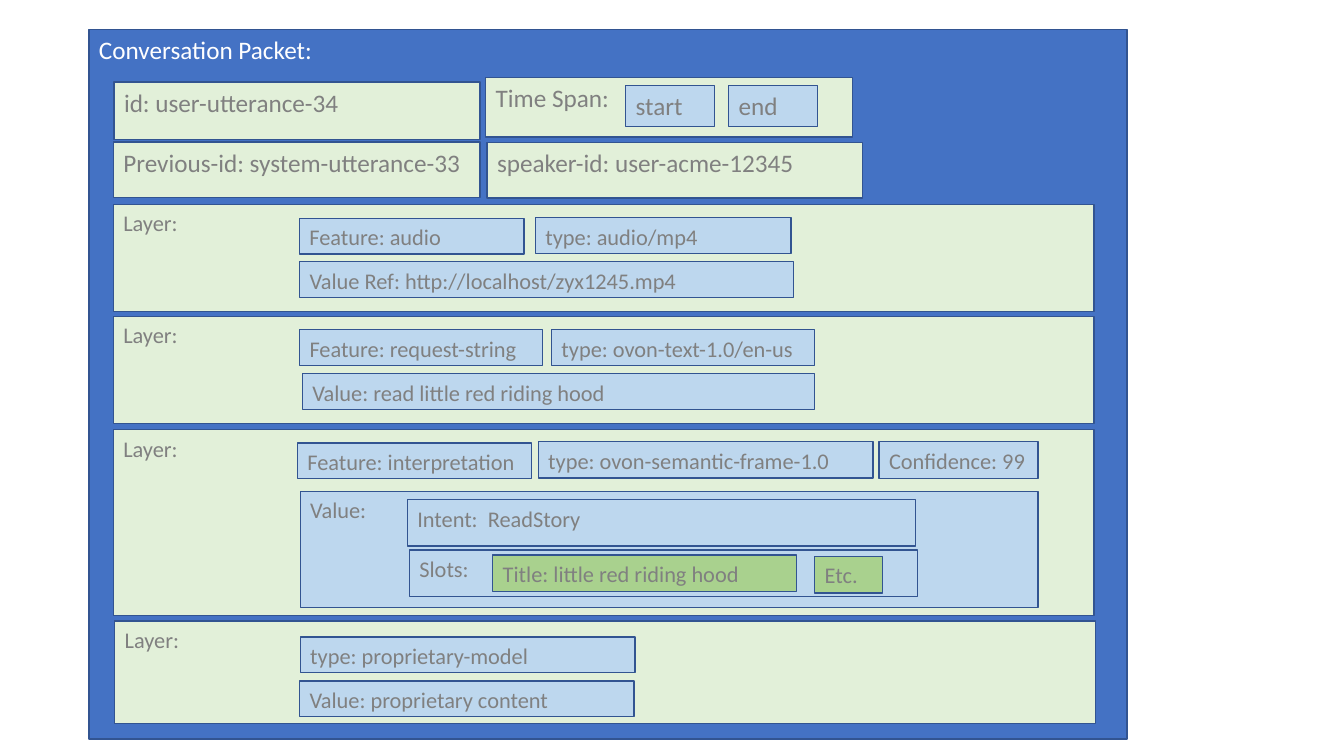
from pptx import Presentation
from pptx.dml.color import RGBColor
from pptx.enum.shapes import MSO_SHAPE
from pptx.enum.text import MSO_ANCHOR, MSO_AUTO_SIZE, PP_ALIGN
from pptx.util import Pt

RECT = MSO_SHAPE.RECTANGLE
TOP = MSO_ANCHOR.TOP
FIXED = MSO_AUTO_SIZE.NONE
LEFT = PP_ALIGN.LEFT

BLUE, NAVY, WHITE, GREY = "4472C4", "325491", "FFFFFF", "808080"
PALE, SKY, GREEN = "E2F0D9", "BDD7EE", "A9D18E"
ROW = 25.5

FRAME = {
    "word_wrap": True, "auto_size": FIXED, "vertical_anchor": TOP,
    "margin_left": Pt(7.2), "margin_right": Pt(7.2),
    "margin_top": Pt(3.6), "margin_bottom": Pt(3.6),
}

HEADS = [
    ("id: user-utterance-34", 81.5, 58.5, 261.5, 41, PALE),
    ("Previous-id: system-utterance-33", 81, 101.5, 262, 39.5, PALE),
    ("Time Span:", 347, 55.5, 262, 42.5, PALE),
    ("speaker-id: user-acme-12345", 348, 102, 268, 39.5, PALE),
    ("start", 447, 61, 63.5, 29.5, SKY),
    ("end", 520.5, 61, 63.5, 29.5, SKY),
]

LAYERS = [
    (81, 146, 76.5, [
        ("Feature: audio", 214, 156, 160.5, ROW, SKY),
        ("type: audio/mp4", 382.5, 155.5, 182.5, ROW, SKY),
        ("Value Ref: http://localhost/zyx1245.mp4", 214, 187, 353, ROW, SKY),
    ]),
    (81, 226, 76.5, [
        ("Feature: request-string", 214, 235.5, 173.5, ROW, SKY),
        ("type: ovon-text-1.0/en-us", 394, 235.5, 188, ROW, SKY),
        ("Value: read little red riding hood", 216, 267, 366, ROW, SKY),
    ]),
    (81, 307, 132.5, [
        ("Feature: interpretation", 212.5, 316.5, 167, ROW, SKY),
        ("type: ovon-semantic-frame-1.0", 384.5, 315.5, 239, 26, SKY),
        ("Confidence: 99", 628, 315.5, 113.5, 26.5, SKY),
        ("Value:", 214.5, 351, 527, 83, SKY),
        ("Intent:  ReadStory", 291, 357, 363, 33, SKY),
        ("Slots:", 292.5, 393, 363, 33, SKY),
        ("Title: little red riding hood", 352, 396.5, 217, 26, GREEN),
        ("Etc.", 582, 397.5, 48.5, 26, GREEN),
    ]),
    (82, 443.5, 73.5, [
        ("type: proprietary-model", 214.5, 455, 239, ROW, SKY),
        ("Value: proprietary content", 214, 486.5, 239, ROW, SKY),
    ]),
]


def color(code):
    """Turn a hex string into a colour."""
    return RGBColor.from_string(code)


def style(shape, text, fill, size, ink):
    """Fill and outline a shape and set its text."""
    shape.fill.solid()
    shape.fill.fore_color.rgb = color(fill)
    shape.line.color.rgb = color(NAVY)
    shape.line.width = Pt(1)
    frame = shape.text_frame
    for name, value in FRAME.items():
        setattr(frame, name, value)
    para = frame.paragraphs[0]
    para.alignment = LEFT
    run = para.add_run()
    run.text = text
    look = {"name": "Calibri", "size": Pt(size), "bold": False}
    for name, value in look.items():
        setattr(run.font, name, value)
    run.font.color.rgb = color(ink)


def packet(slide, text, left, top, width, height):
    """Make the title the frame around the whole packet."""
    title = slide.shapes.title
    title.left, title.top = Pt(left), Pt(top)
    title.width, title.height = Pt(width), Pt(height)
    style(title, text, BLUE, 18, WHITE)


def box(slide, text, left, top, width, height, fill, size=16):
    """Add one labelled box."""
    shape = slide.shapes.add_shape(
        RECT, Pt(left), Pt(top), Pt(width), Pt(height))
    shape.shadow.inherit = False
    style(shape, text, fill, size, GREY)


def layer(slide, left, top, height, fields):
    """Add a layer band and the fields inside it."""
    box(slide, "Layer:", left, top, 700.5, height, PALE)
    for field in fields:
        box(slide, *field)


def main():
    """Build the conversation packet slide."""
    deck = Presentation()
    deck.slide_width, deck.slide_height = Pt(960), Pt(540)
    slide = deck.slides.add_slide(deck.slide_layouts[5])
    packet(slide, "Conversation Packet:", 63.5, 21, 741.5, 507)
    for head in HEADS:
        box(slide, *head, size=18)
    for band in LAYERS:
        layer(slide, *band)
    deck.save("out.pptx")


main()
